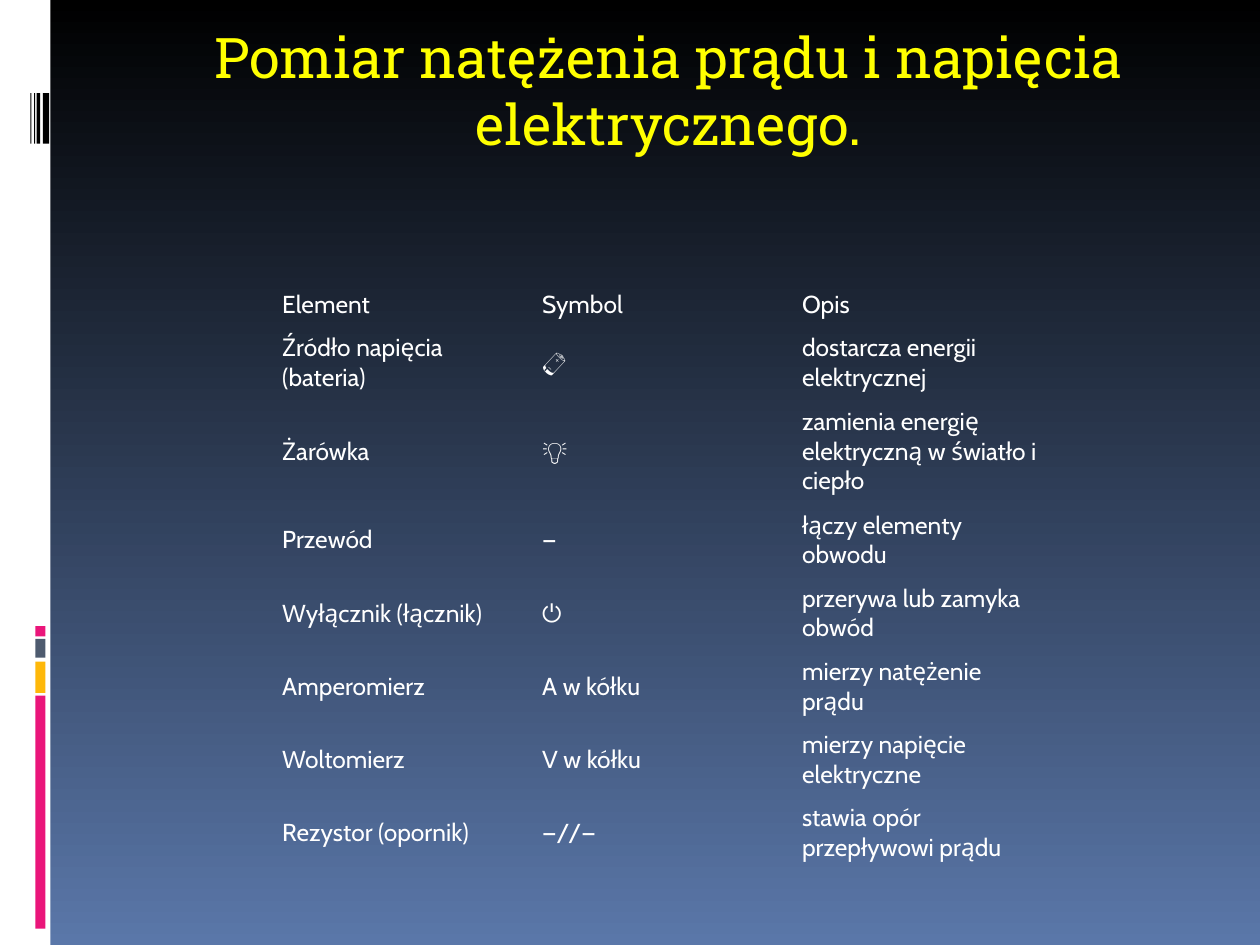
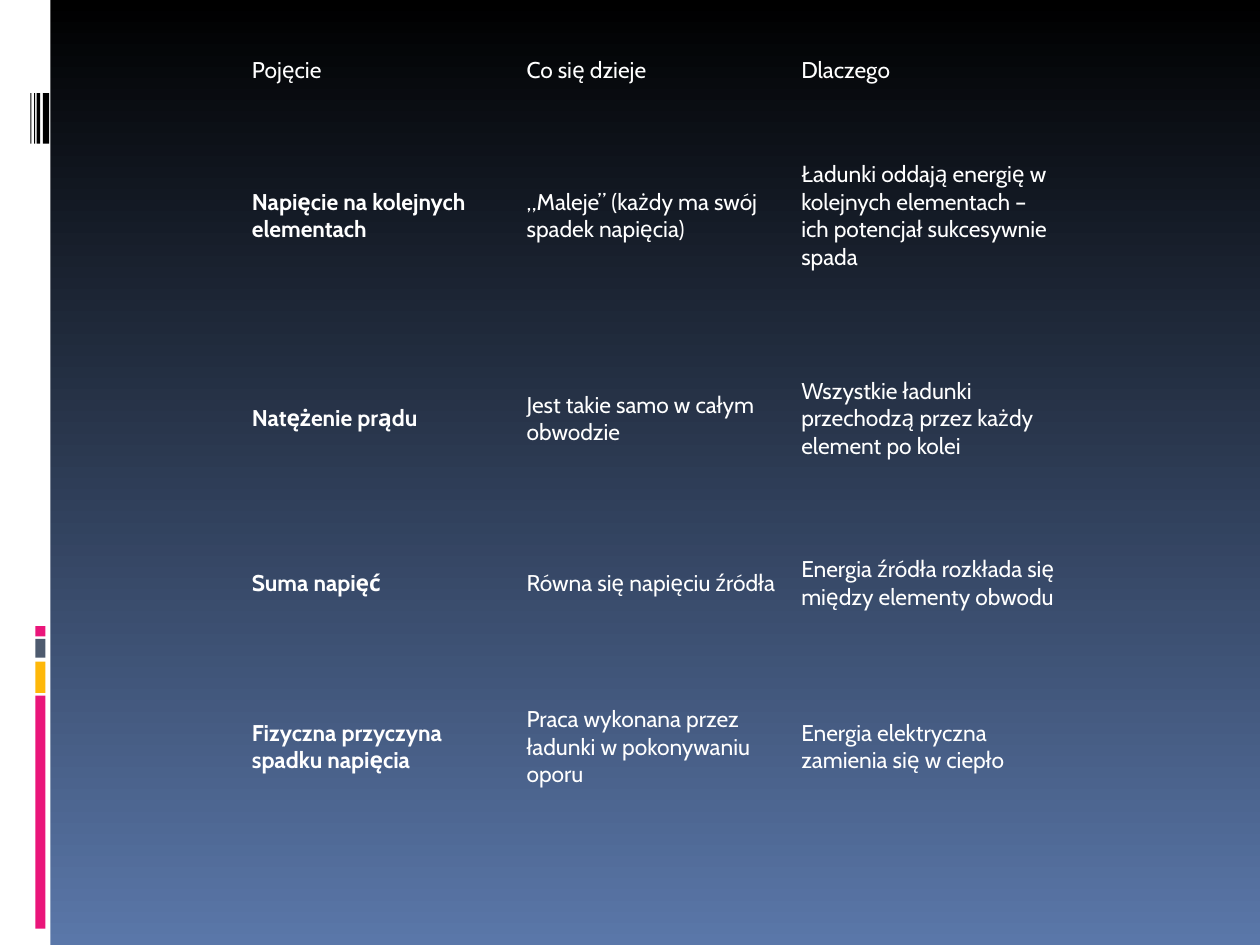
"""Build two slides on measuring current and voltage in a circuit."""
from pptx import Presentation
from pptx.dml.color import RGBColor
from pptx.enum import shapes, text
from pptx.util import Inches, Pt

BLACK = RGBColor(0x00, 0x00, 0x00)
BLUE = RGBColor(0x5A, 0x77, 0xA9)
WHITE = RGBColor(0xFF, 0xFF, 0xFF)
PINK = RGBColor(0xEA, 0x15, 0x7A)
AMBER = RGBColor(0xFE, 0xB8, 0x0A)
SLATE = RGBColor(0x4E, 0x5B, 0x6F)
YELLOW = RGBColor(0xFF, 0xFF, 0x00)

TITLE_FONT = {"name": "Roboto Slab", "size": Pt(32)}
NO_GRID_STYLE = "{2D5ABB26-0587-4C30-8999-92F81FD0307C}"

TITLE = "Pomiar natężenia prądu i napięcia elektrycznego."
ELEMENTS = {
    "rows": [
        ("Element", "Symbol", "Opis"),
        ("Źródło napięcia (bateria)", "🔋", "dostarcza energii elektrycznej"),
        ("Żarówka", "💡", "zamienia energię elektryczną w światło i ciepło"),
        ("Przewód", "—", "łączy elementy obwodu"),
        ("Wyłącznik (łącznik)", "⏻", "przerywa lub zamyka obwód"),
        ("Amperomierz", "A w kółku", "mierzy natężenie prądu"),
        ("Woltomierz", "V w kółku", "mierzy napięcie elektryczne"),
        ("Rezystor (opornik)", "—//—", "stawia opór przepływowi prądu"),
    ],
    "heights": [0.33, 0.58, 0.83] + [0.58] * 5,
    "place": (2.16, 2.25, 6.19),
    "size": 14,
    "margin": 0.08,
    "bold_terms": False,
}
CONCEPTS = {
    "rows": [
        ("Pojęcie", "Co się dzieje", "Dlaczego"),
        ("Napięcie na kolejnych elementach",
         "„Maleje” (każdy ma swój spadek napięcia)",
         "Ładunki oddają energię w kolejnych elementach – "
         "ich potencjał sukcesywnie spada"),
        ("Natężenie prądu", "Jest takie samo w całym obwodzie",
         "Wszystkie ładunki przechodzą przez każdy element po kolei"),
        ("Suma napięć", "Równa się napięciu źródła",
         "Energia źródła rozkłada się między elementy obwodu"),
        ("Fizyczna przyczyna spadku napięcia",
         "Praca wykonana przez ładunki w pokonywaniu oporu",
         "Energia elektryczna zamienia się w ciepło"),
    ],
    "heights": [0.4, 1.91, 1.31, 1.3, 1.3],
    "place": (1.93, 0.36, 6.54),
    "size": 13,
    "margin": 0.07,
    "bold_terms": True,
}

SIDE_BAND = (0, 0, 0.4, 7.5, WHITE)
COLOUR_BARS = [(0.28, top, 0.08, height, colour) for top, height, colour in
               [(5.52, 1.85, PINK), (5.25, 0.25, AMBER),
                (5.07, 0.15, SLATE), (4.97, 0.08, PINK)]]
BARCODE = [(left, 0.74, width, 0.4, BLACK) for left, width in
           [(0.34, 0.05), (0.29, 0.03), (0.27, 0.01), (0.24, 0.01)]]


def set_format(target, values):
    for name, value in values.items():
        setattr(target, name, value)


def decorate_master(master, slide):
    fill = master.background.fill
    fill.gradient()
    fill.gradient_angle = 270
    for stop, colour in zip(fill.gradient_stops, (BLACK, BLUE)):
        stop.color.rgb = colour
    for index, (*place, colour) in enumerate([SIDE_BAND, *COLOUR_BARS, *BARCODE]):
        shape = slide.shapes.add_shape(
            shapes.MSO_SHAPE.RECTANGLE, *map(Inches, place))
        shape.shadow.inherit = False
        shape.fill.solid()
        shape.fill.fore_color.rgb = colour
        shape.line.fill.background()
        shape.element.nvSpPr.cNvPr.id = 100 + index
        master.shapes.element.insert(2 + index, shape.element)


def add_title(slide, wording):
    title = slide.shapes.title
    set_format(title, {"left": Inches(1.06), "top": Inches(0.13),
                       "width": Inches(8.5), "height": Inches(1)})
    frame = title.text_frame
    frame.text = wording
    set_format(frame, {"vertical_anchor": text.MSO_ANCHOR.TOP,
                       "word_wrap": True,
                       "auto_size": text.MSO_AUTO_SIZE.NONE})
    paragraph = frame.paragraphs[0]
    paragraph.alignment = text.PP_ALIGN.CENTER
    set_format(paragraph.font, TITLE_FONT)
    paragraph.font.color.rgb = YELLOW


def add_text_table(slide, content):
    rows, heights = content["rows"], content["heights"]
    left, top, width = content["place"]
    columns = len(rows[0])
    frame = slide.shapes.add_table(
        len(rows), columns, Inches(left), Inches(top),
        Inches(width), Inches(sum(heights)))
    table = frame.table
    set_format(table, {"first_row": False, "horz_banding": False})
    for style in frame.element.iter("{*}tableStyleId"):
        style.text = NO_GRID_STYLE
    for column in table.columns:
        column.width = Inches(width / columns)
    cell_format = {"margin_left": Inches(content["margin"]),
                   "margin_right": Inches(content["margin"]),
                   "vertical_anchor": text.MSO_ANCHOR.MIDDLE}
    for row, (wordings, height) in enumerate(zip(rows, heights)):
        table.rows[row].height = Inches(height)
        for column, wording in enumerate(wordings):
            cell = table.cell(row, column)
            cell.text = wording
            cell.fill.background()
            set_format(cell, cell_format)
            font = cell.text_frame.paragraphs[0].font
            is_term = row > 0 and column == 0
            set_format(font, {"name": "Cabin", "size": Pt(content["size"]),
                              "bold": content["bold_terms"] and is_term})
            font.color.rgb = WHITE


def main():
    presentation = Presentation()
    set_format(presentation, {"slide_width": Inches(10),
                              "slide_height": Inches(7.5)})
    title_only, blank = presentation.slide_layouts[5], presentation.slide_layouts[6]
    elements_slide = presentation.slides.add_slide(title_only)
    decorate_master(presentation.slide_master, elements_slide)
    add_title(elements_slide, TITLE)
    add_text_table(elements_slide, ELEMENTS)
    add_text_table(presentation.slides.add_slide(blank), CONCEPTS)
    presentation.save("out.pptx")


if __name__ == "__main__":
    main()
